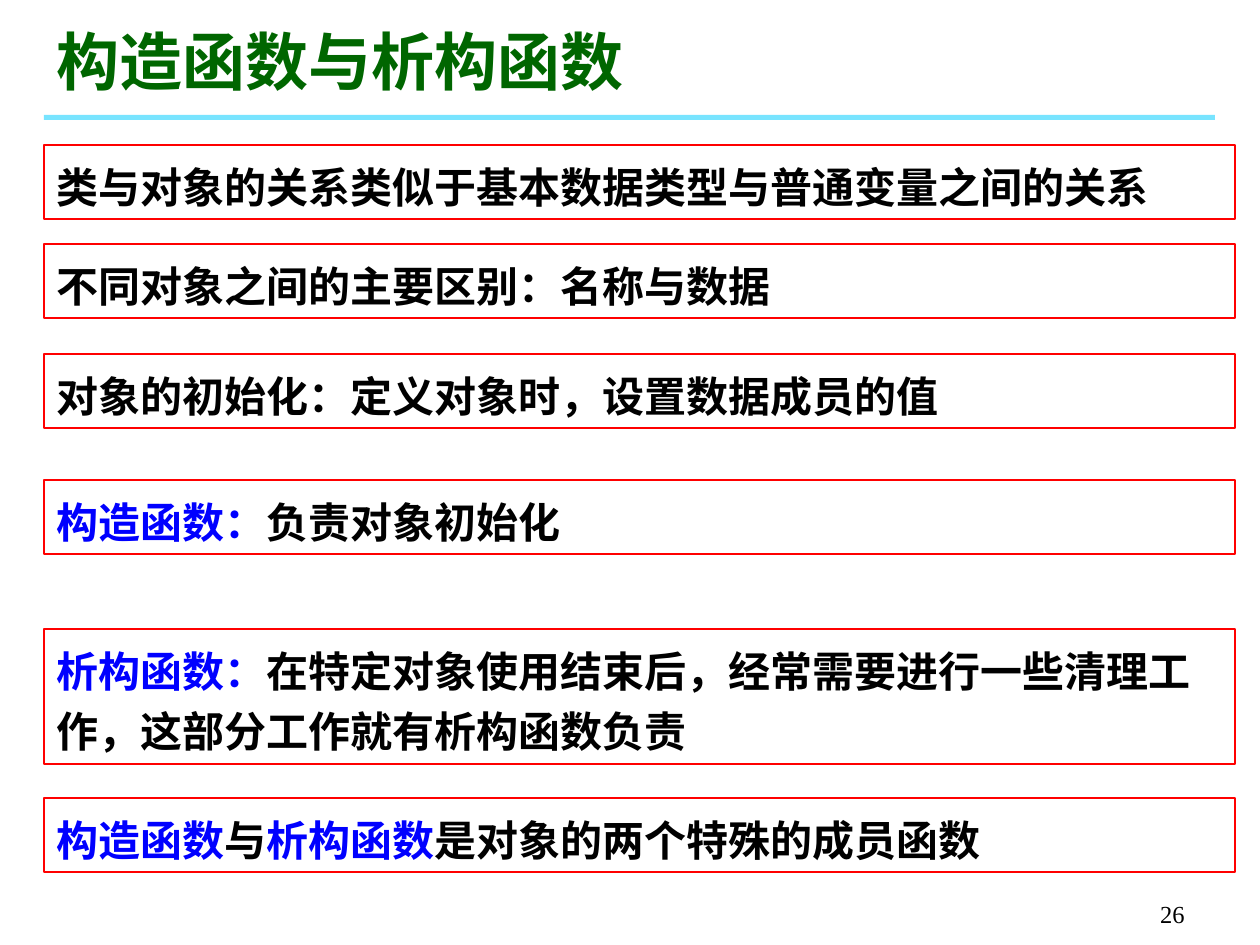
import pptx
import pptx.dml.color
import pptx.enum.shapes
import pptx.enum.text
import pptx.util
from lxml import etree

PIXEL = 914400 / 126
FONT = "Times New Roman"
BLACK = pptx.dml.color.RGBColor(0, 0, 0)
BLUE = pptx.dml.color.RGBColor(0, 0, 255)
RED = pptx.dml.color.RGBColor(255, 0, 0)
GREEN = pptx.dml.color.RGBColor(0, 0x66, 0)
CYAN = pptx.dml.color.RGBColor(0, 0xCC, 255)

LEFT = 44
BOX_WIDTH = 1191
LINE_HEIGHT = 74
# Top, height and coloured text pieces of each statement
STATEMENTS = [
    (145, LINE_HEIGHT, [("类与对象的关系类似于基本数据类型与普通变量之间的关系", BLACK)]),
    (244, LINE_HEIGHT, [("不同对象之间的主要区别：名称与数据", BLACK)]),
    (354, LINE_HEIGHT, [("对象的初始化：定义对象时，设置数据成员的值", BLACK)]),
    (480, LINE_HEIGHT, [("构造函数：", BLUE), ("负责对象初始化", BLACK)]),
    (629, 135, [
        ("析构函数：", BLUE),
        ("在特定对象使用结束后，经常需要进行一些清理工作，这部分工作就有析构函数负责", BLACK),
    ]),
    (798, LINE_HEIGHT, [
        ("构造函数", BLUE),
        ("与", BLACK),
        ("析构函数", BLUE),
        ("是对象的两个特殊的成员函数", BLACK),
    ]),
]


def pixels(*lengths):
    """Turn pixel lengths into EMU."""
    return [pptx.util.Emu(round(length * PIXEL)) for length in lengths]


def format_run(run, size, color, bold):
    """Set the font, size, colour and weight of a run."""
    run.font.name = FONT
    run.font.size = pptx.util.Pt(size)
    run.font.color.rgb = color
    run.font.bold = bold


presentation = pptx.Presentation()
presentation.slide_width, presentation.slide_height = pixels(1260, 945)
slide = presentation.slides.add_slide(presentation.slide_layouts[5])

# Title and the rule below it
title = slide.shapes.title
title.left, title.top, title.width, title.height = pixels(LEFT, 16, 675, 88)
title.text_frame.text = "构造函数与析构函数"
title.text_frame.auto_size = pptx.enum.text.MSO_AUTO_SIZE.NONE
title.text_frame.vertical_anchor = pptx.enum.text.MSO_ANCHOR.BOTTOM
title.text_frame.paragraphs[0].alignment = pptx.enum.text.PP_ALIGN.LEFT
format_run(title.text_frame.paragraphs[0].runs[0], 36, GREEN, True)

rule = slide.shapes.add_shape(
    pptx.enum.shapes.MSO_SHAPE.RECTANGLE, *pixels(LEFT, 115, 1171, 5))
rule.shadow.inherit = False
rule.fill.solid()
rule.fill.fore_color.rgb = CYAN
rule.line.fill.background()
rule_color = rule.fill._xPr.find(".//" + pptx.oxml.ns.qn("a:srgbClr"))
etree.SubElement(rule_color, pptx.oxml.ns.qn("a:alpha"), val="53000")

# Framed statements
for top, height, pieces in STATEMENTS:
    box = slide.shapes.add_shape(
        pptx.enum.shapes.MSO_SHAPE.RECTANGLE, *pixels(LEFT, top, BOX_WIDTH, height))
    box.shadow.inherit = False
    box.fill.background()
    box.line.color.rgb = RED
    box.line.width = pptx.util.Pt(0.75)
    text_frame = box.text_frame
    text_frame.word_wrap = True
    text_frame.vertical_anchor = pptx.enum.text.MSO_ANCHOR.TOP
    paragraph = text_frame.paragraphs[0]
    paragraph.alignment = pptx.enum.text.PP_ALIGN.LEFT
    paragraph.line_spacing = 1.2
    for text, color in pieces:
        run = paragraph.add_run()
        run.text = text
        format_run(run, 24, color, True)

# Page number
page_number = slide.shapes.add_textbox(*pixels(935, 872, 262, 63))
page_number.text_frame.word_wrap = True
page_number.text_frame.vertical_anchor = pptx.enum.text.MSO_ANCHOR.BOTTOM
page_number.text_frame.text = "26"
page_number.text_frame.paragraphs[0].alignment = pptx.enum.text.PP_ALIGN.RIGHT
format_run(page_number.text_frame.paragraphs[0].runs[0], 14, BLACK, False)

presentation.save("out.pptx")
